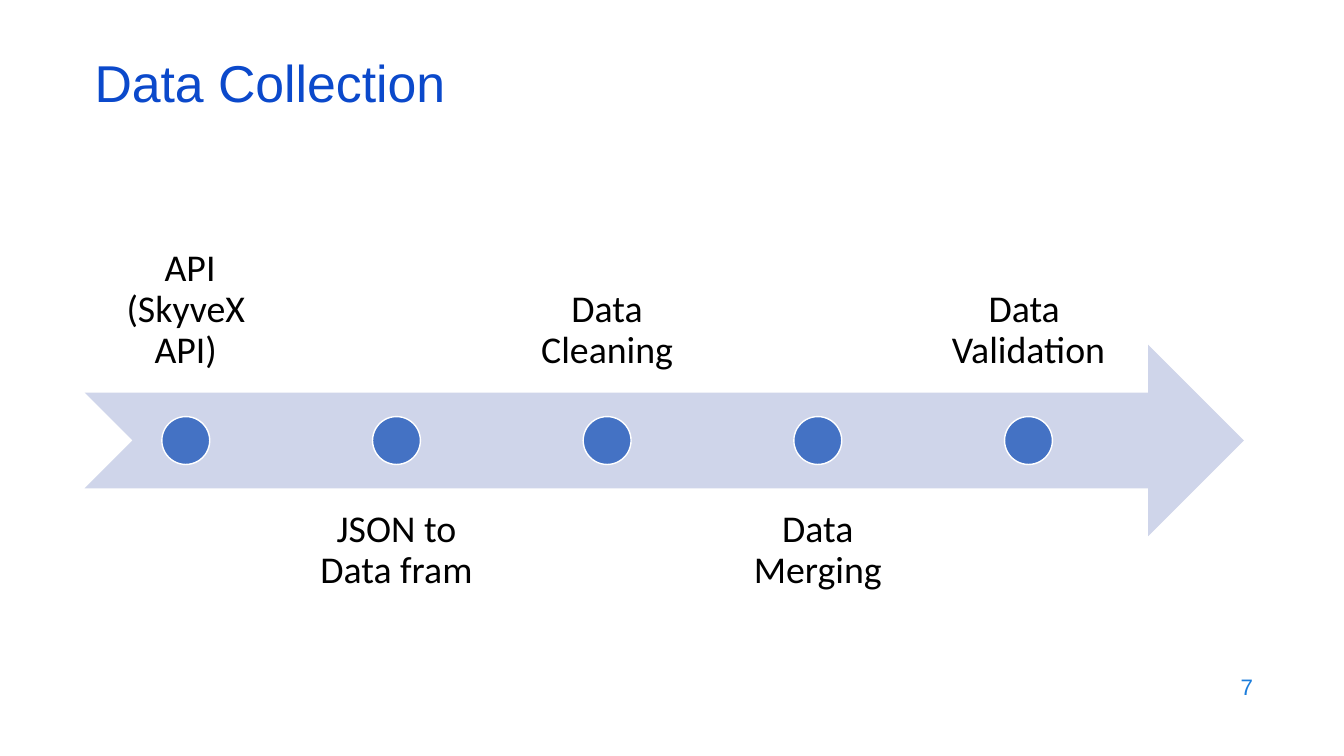
from dataclasses import dataclass

from pptx import Presentation
from pptx.dml.color import RGBColor
from pptx.enum import shapes, text
from pptx.util import Pt


@dataclass(frozen=True)
class Theme:
    title: str = "0B49CB"
    page: str = "1C7DDB"
    arrow: str = "CFD5EA"
    dot: str = "4472C4"
    rim: str = "FFFFFF"
    ink: str = "000000"
    head: str = "Arial"
    body: str = "Calibri"
    title_size: int = 37
    step_size: int = 27
    page_size: int = 16


THEME = Theme()
STEPS = [
    " API (SkyveX API)",
    "JSON to Data fram",
    "Data Cleaning",
    "Data Merging",
    "Data \nValidation",
]
LEFT, WIDTH = 60.5, 828
MID = 314.64
ARROW_H = 136.8
PITCH = 150.48
FIRST = 132.7
LABEL_W = 143.3
DOT = 34.2
PAD = 15.1


def add_text(slide, box, words, font, size, color, align=text.PP_ALIGN.LEFT,
             anchor=text.MSO_ANCHOR.MIDDLE, pad=None, spacing=None):
    """Add a wrapped text box; a newline in words becomes a line break."""
    frame = slide.shapes.add_textbox(*map(Pt, box)).text_frame
    frame.word_wrap = True
    frame.vertical_anchor = anchor
    if pad is not None:
        frame.margin_left = frame.margin_right = Pt(pad)
        frame.margin_top = frame.margin_bottom = Pt(pad)
    para = frame.paragraphs[0]
    para.alignment = align
    if spacing:
        para.line_spacing = spacing
    for row, line in enumerate(words.split("\n")):
        if row:
            para.add_line_break()
        run = para.add_run()
        run.text = line
        run.font.name = font
        run.font.size = Pt(size)
        run.font.color.rgb = RGBColor.from_string(color)


def add_shape(slide, kind, box, fill, rim=None):
    shape = slide.shapes.add_shape(kind, *map(Pt, box))
    shape.shadow.inherit = False
    shape.fill.solid()
    shape.fill.fore_color.rgb = RGBColor.from_string(fill)
    if rim:
        shape.line.color.rgb = RGBColor.from_string(rim)
        shape.line.width = Pt(1)
    else:
        shape.line.fill.background()


def add_step(slide, index, words):
    """Add a dot on the arrow, with its label above or below by turns."""
    mid = FIRST + index * PITCH
    above = index % 2 == 0
    top = MID - ARROW_H / 4 - ARROW_H if above else MID + ARROW_H / 4
    anchor = text.MSO_ANCHOR.BOTTOM if above else text.MSO_ANCHOR.TOP
    add_text(slide, (mid - LABEL_W / 2, top, LABEL_W, ARROW_H), words,
             THEME.body, THEME.step_size, THEME.ink,
             text.PP_ALIGN.CENTER, anchor, PAD, 0.9)
    add_shape(slide, shapes.MSO_SHAPE.OVAL,
              (mid - DOT / 2, MID - DOT / 2, DOT, DOT), THEME.dot, THEME.rim)


def main():
    deck = Presentation()
    deck.slide_width, deck.slide_height = Pt(960), Pt(540)
    slide = deck.slides.add_slide(deck.slide_layouts[6])
    add_text(slide, (LEFT, 42.5, WIDTH, 43.2), "Data Collection",
             THEME.head, THEME.title_size, THEME.title, spacing=0.7)
    add_shape(slide, shapes.MSO_SHAPE.NOTCHED_RIGHT_ARROW,
              (LEFT, MID - ARROW_H / 2, WIDTH, ARROW_H), THEME.arrow)
    for index, words in enumerate(STEPS):
        add_step(slide, index, words)
    add_text(slide, (686.2, 474.5, 216, 31.7), "7",
             THEME.head, THEME.page_size, THEME.page, text.PP_ALIGN.RIGHT)
    deck.save("out.pptx")


if __name__ == "__main__":
    main()
